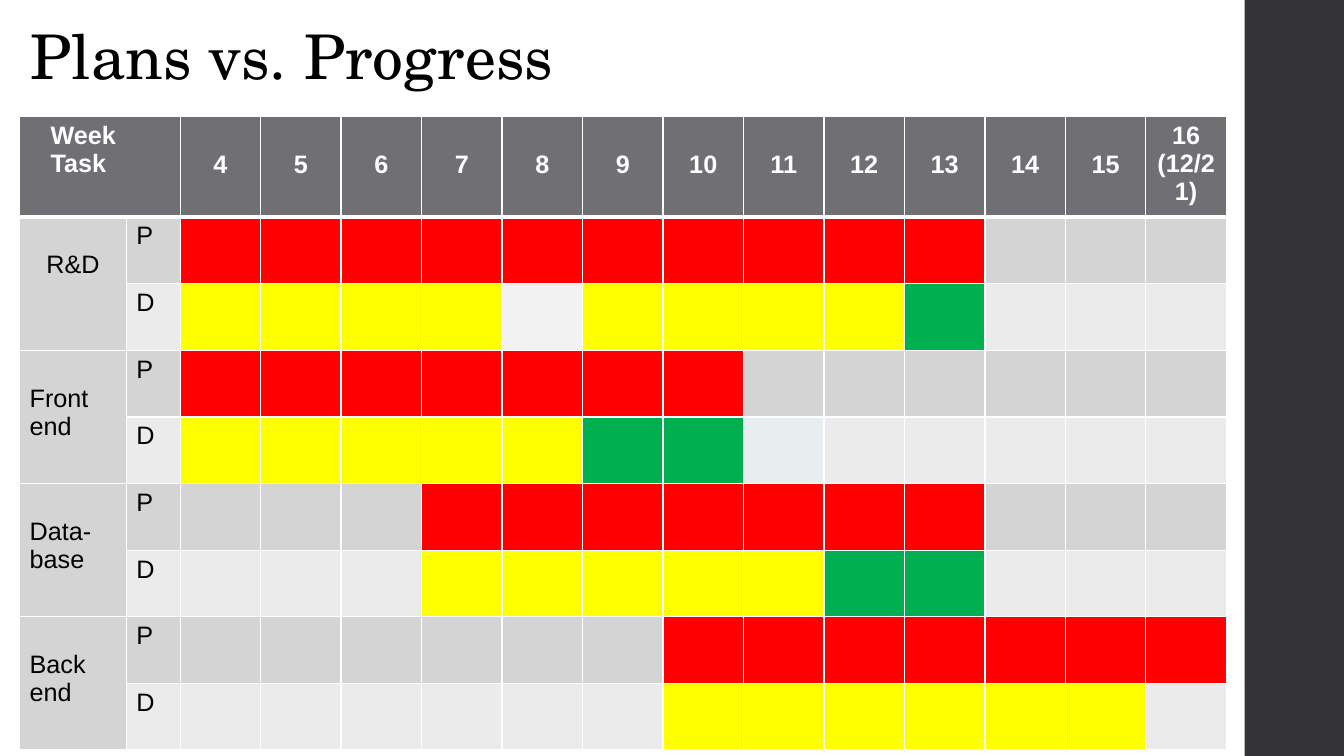
from lxml.etree import SubElement
from pptx import Presentation
from pptx.dml.color import RGBColor
from pptx.enum.shapes import MSO_SHAPE
from pptx.enum.text import MSO_ANCHOR, PP_ALIGN
from pptx.oxml.ns import qn
from pptx.util import Pt

WHITE = RGBColor(0xFF, 0xFF, 0xFF)
BLACK = RGBColor(0, 0, 0)
SIDEBAR = RGBColor(0x34, 0x34, 0x37)
HEADER = RGBColor(0x6F, 0x6F, 0x74)
PLAN_BAND = RGBColor(0xD4, 0xD4, 0xD5)
DONE_BAND = RGBColor(0xEB, 0xEB, 0xEB)
STATUS = {
    "R": RGBColor(0xFF, 0, 0),
    "Y": RGBColor(0xFF, 0xFF, 0),
    "G": RGBColor(0, 0xB0, 0x50),
    "w": RGBColor(0xF2, 0xF2, 0xF2),
    "b": RGBColor(0xE8, 0xED, 0xF0),
}

# One letter per week; a dot keeps the colour of the row's band.
TASKS = [
    ("R&D", "RRRRRRRRRR...", "YYYYwYYYYG..."),
    ("Front\nend", "RRRRRRR......", "YYYYYGGb....."),
    ("Data-base", "...RRRRRRR...", "...YYYYYGG..."),
    ("Back\nend", "......RRRRRRR", "......YYYYYY."),
]
WEEKS = [str(week) for week in range(4, 16)] + ["16\n(12/21)"]

TEXT_SIZE = 18
MARGIN_TOP = 3.6
ONE_LINE_DOWN = MARGIN_TOP + 20.7
HEADER_INDENT = 22.2
TASK_WIDTH, KIND_WIDTH, WEEK_WIDTH = 76.3, 38.4, 57.5
HEADER_HEIGHT, ROW_HEIGHT = 62.6, 47.6


def add_sidebar(page, left, top, width, height):
    bar = page.shapes.add_shape(MSO_SHAPE.RECTANGLE, Pt(left), Pt(top), Pt(width), Pt(height))
    bar.shadow.inherit = False
    bar.fill.solid()
    bar.fill.fore_color.rgb = SIDEBAR
    bar.line.fill.background()


def add_title(page, left, top, width, height):
    box = page.shapes.add_textbox(Pt(left), Pt(top), Pt(width), Pt(height))
    frame = box.text_frame
    frame.word_wrap = True
    frame.vertical_anchor = MSO_ANCHOR.BOTTOM
    frame.text = "Plans vs. Progress"
    para = frame.paragraphs[0]
    para.line_spacing = 0.9
    para.font.size = Pt(44)
    para.font.name = "TeX Gyre Schola"
    para.font.color.rgb = BLACK


def paint_cell(cell, color, top_line=1, bottom_line=1):
    """Give the cell white borders and a solid fill."""
    properties = cell._tc.get_or_add_tcPr()
    for side, width in (("L", 1), ("R", 1), ("T", top_line), ("B", bottom_line)):
        line = SubElement(properties, qn(f"a:ln{side}"), w=str(Pt(width)))
        SubElement(SubElement(line, qn("a:solidFill")), qn("a:srgbClr"), val=str(WHITE))
    cell.fill.solid()
    cell.fill.fore_color.rgb = color


def write_cell(cell, text, color=BLACK, bold=False, align=PP_ALIGN.LEFT, margin_top=MARGIN_TOP):
    cell.margin_top = Pt(margin_top)
    cell.text_frame.text = text
    for para in cell.text_frame.paragraphs:
        para.alignment = align
        for span in para.runs:
            span.font.name = "Arial"
            span.font.size = Pt(TEXT_SIZE)
            span.font.bold = bold
            span.font.color.rgb = color


def fill_header(table):
    for cell in table.rows[0].cells:
        paint_cell(cell, HEADER, bottom_line=3)
    corner = table.cell(0, 0)
    corner.merge(table.cell(0, 1))
    write_cell(corner, "Week\nTask", WHITE, bold=True)
    corner.margin_left = Pt(HEADER_INDENT)
    for column, week in enumerate(WEEKS, start=2):
        margin_top = MARGIN_TOP if "\n" in week else ONE_LINE_DOWN
        write_cell(table.cell(0, column), week, WHITE, True, PP_ALIGN.CENTER, margin_top)


def fill_task(table, first_row, name, plan, done):
    bands = (("P", plan, PLAN_BAND), ("D", done, DONE_BAND))
    for row, (kind, weeks, band) in enumerate(bands, start=first_row):
        colors = [PLAN_BAND, band] + [STATUS.get(week, band) for week in weeks]
        for column, color in enumerate(colors):
            paint_cell(table.cell(row, column), color, top_line=3 if row == 1 else 1)
        write_cell(table.cell(row, 1), kind)
    label = table.cell(first_row, 0)
    label.merge(table.cell(first_row + 1, 0))
    align = PP_ALIGN.CENTER if name == "R&D" else PP_ALIGN.LEFT
    write_cell(label, name, align=align, margin_top=ONE_LINE_DOWN)


def add_schedule(page, left, top):
    widths = [TASK_WIDTH, KIND_WIDTH] + [WEEK_WIDTH] * len(WEEKS)
    heights = [HEADER_HEIGHT] + [ROW_HEIGHT] * (2 * len(TASKS))
    table = page.shapes.add_table(len(heights), len(widths), Pt(left), Pt(top),
                                  Pt(sum(widths)), Pt(sum(heights))).table
    for column, width in zip(table.columns, widths):
        column.width = Pt(width)
    for row, height in zip(table.rows, heights):
        row.height = Pt(height)
    fill_header(table)
    for index, task in enumerate(TASKS):
        fill_task(table, 1 + 2 * index, *task)


def main():
    deck = Presentation()
    deck.slide_width, deck.slide_height = Pt(960), Pt(540)
    page = deck.slides.add_slide(deck.slide_layouts[6])
    add_sidebar(page, 889, 0, 71, 540)
    add_title(page, 15, 0, 763, 70)
    add_schedule(page, 14, 83)
    deck.save("out.pptx")


if __name__ == "__main__":
    main()
